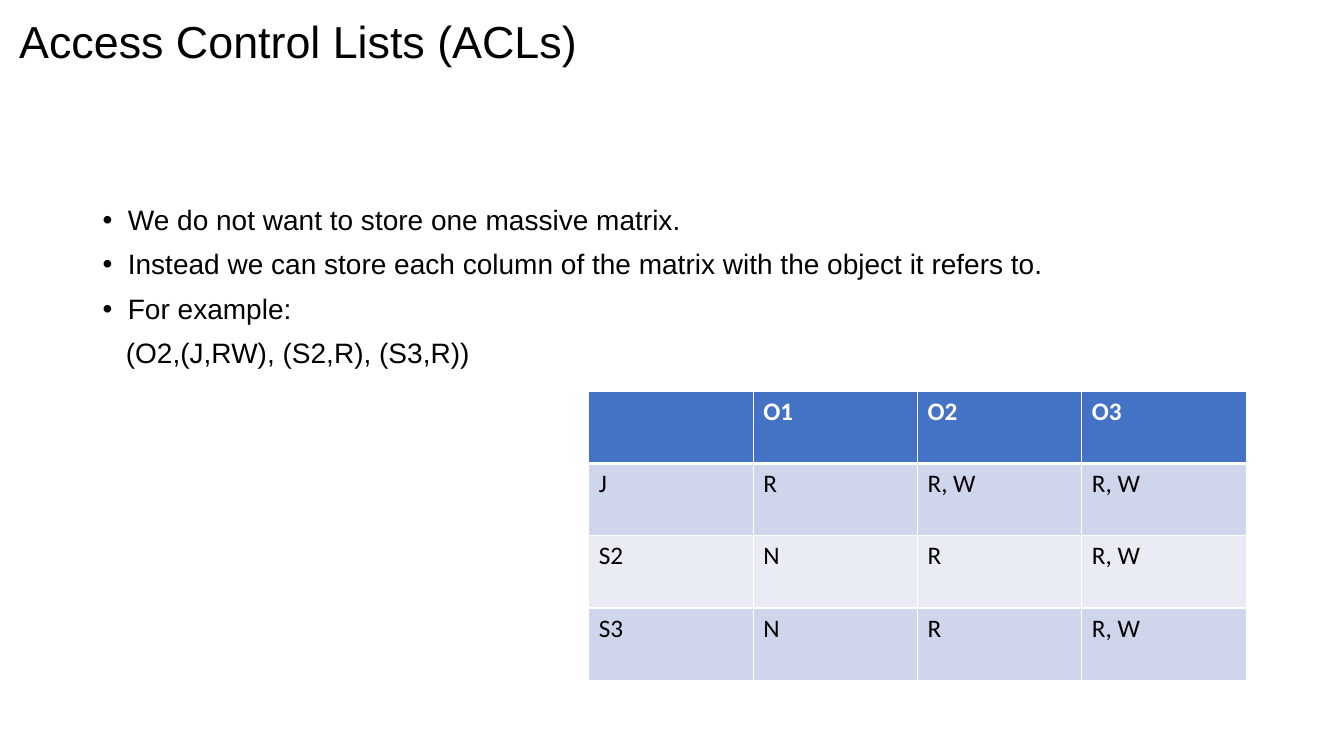
from dataclasses import dataclass

from lxml.etree import SubElement
from pptx import Presentation
from pptx.dml.color import RGBColor as Rgb
from pptx.enum.text import MSO_ANCHOR as Anchor, MSO_AUTO_SIZE as Fit, PP_ALIGN as Align
from pptx.oxml.ns import qn
from pptx.util import Emu, Pt

SCALE = 9144
HUES = {"ink": "000000", "paper": "FFFFFF", "head": "4472C4", "odd": "CFD5EA", "even": "E9EBF5"}


@dataclass
class Box:
    left: int
    top: int
    width: int
    height: int

    def emu(self) -> list[Emu]:
        return [px(n) for n in (self.left, self.top, self.width, self.height)]


@dataclass
class Line:
    text: str
    margin: int = 25
    bullet: bool = True


LINES = [
    Line("We do not want to store one massive matrix."),
    Line("Instead we can store each column of the matrix with the object it refers to."),
    Line("For example:"),
    Line("(O2,(J,RW), (S2,R), (S3,R))", 23, False),
]
RIGHTS = [
    ["", "O1", "O2", "O3"],
    ["J", "R", "R, W", "R, W"],
    ["S2", "N", "R", "R, W"],
    ["S3", "N", "R", "R, W"],
]


def px(count: int) -> Emu:
    return Emu(count * SCALE)


def style(para, size: int, face: str, hue: str, bold: bool = False) -> None:
    for run in para.runs:
        font = run.font
        font.size, font.name, font.bold = Pt(size), face, bold
        font.color.rgb = Rgb.from_string(HUES[hue])


def add_title(slide, box: Box, text: str) -> None:
    title = slide.shapes.title
    title.left, title.top, title.width, title.height = box.emu()
    frame = title.text_frame
    frame.text = text
    frame.auto_size, frame.vertical_anchor = Fit.NONE, Anchor.MIDDLE
    para = frame.paragraphs[0]
    para.alignment, para.line_spacing = Align.LEFT, 0.9
    style(para, 32, "Arial", "ink")


def add_list(slide, box: Box, lines: list[Line]) -> None:
    frame = slide.shapes.add_textbox(*box.emu()).text_frame
    frame.word_wrap = True
    frame.text = "\n".join(line.text for line in lines)
    for para, line in zip(frame.paragraphs, lines):
        para.line_spacing, para.space_before = 0.9, Pt(10)
        style(para, 20, "Arial", "ink")
        props = para._p.get_or_add_pPr()
        props.set("marL", str(px(line.margin)))
        if line.bullet:
            props.set("indent", str(px(-line.margin)))
            SubElement(props, qn("a:buFont"), typeface="Arial")
            SubElement(props, qn("a:buChar"), char="•")


def add_edge(cell, side: str, width: int) -> None:
    edge = SubElement(cell._tc.get_or_add_tcPr(), qn(f"a:ln{side}"), w=str(Pt(width)))
    fill = SubElement(edge, qn("a:solidFill"))
    SubElement(fill, qn("a:srgbClr"), val=HUES["paper"])


def add_grid(slide, box: Box, rows: list[list[str]]) -> None:
    table = slide.shapes.add_table(len(rows), len(rows[0]), *box.emu()).table
    for r, row in enumerate(rows):
        hue = "head" if r == 0 else "odd" if r % 2 else "even"
        for c, text in enumerate(row):
            cell = table.cell(r, c)
            cell.text = text
            style(cell.text_frame.paragraphs[0], 18, "Calibri", "ink" if r else "paper", r == 0)
            for side in "LRTB":
                thick = (r, side) in ((0, "B"), (1, "T"))
                add_edge(cell, side, 3 if thick else 1)
            cell.fill.solid()
            cell.fill.fore_color.rgb = Rgb.from_string(HUES[hue])


def main() -> None:
    """Build the access control list slide."""
    deck = Presentation()
    deck.slide_width, deck.slide_height = px(1333), px(750)
    slide = deck.slides.add_slide(deck.slide_layouts[5])
    add_title(slide, Box(9, 0, 1150, 87), "Access Control Lists (ACLs)")
    add_list(slide, Box(92, 200, 1150, 476), LINES)
    add_grid(slide, Box(584, 388, 652, 287), RIGHTS)
    deck.save("out.pptx")


if __name__ == "__main__":
    main()
